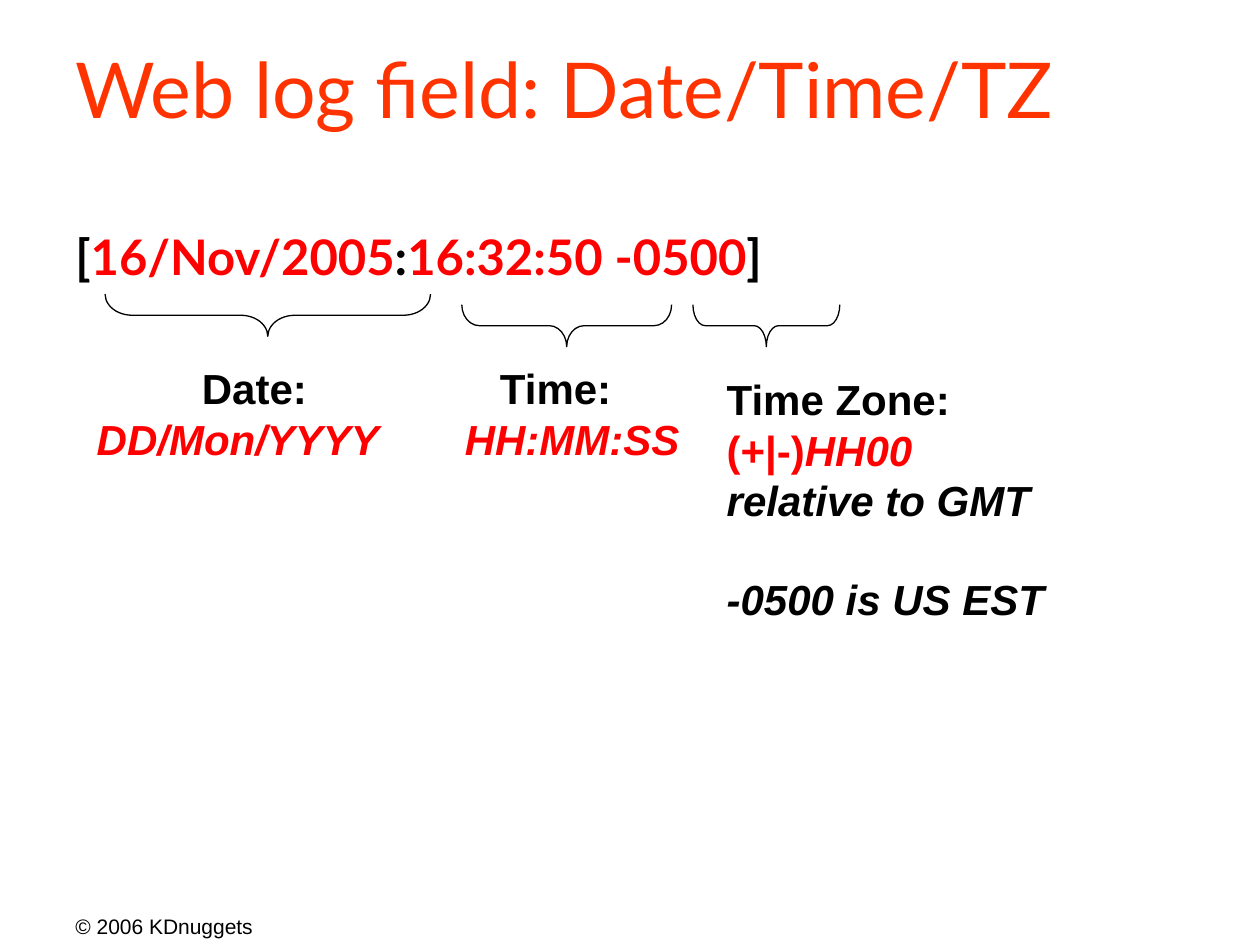
import pptx
import pptx.dml.color
import pptx.enum.shapes
import pptx.enum.text
import pptx.util

Cm = pptx.util.Cm
Pt = pptx.util.Pt

COLORS = {"title": "FF3300", "text": "000000", "field": "FF0000"}


class LogFieldSlide:
    """Holds the style and the current slide."""

    heading_font = "Lato"
    body_font = "Arial"
    brace_depth = 0.85

    def __init__(self, deck):
        self.slide = deck.slides.add_slide(deck.slide_layouts[6])

    def color(self, name):
        return pptx.dml.color.RGBColor.from_string(COLORS[name])

    def text(self, left, top, width, height, lines, size, font=body_font, bold=False):
        """Each line is a list of (words, colour, italic) runs."""
        frame = self.slide.shapes.add_textbox(
            Cm(left), Cm(top), Cm(width), Cm(height)).text_frame
        frame.word_wrap = True
        for number, pieces in enumerate(lines):
            line = frame.add_paragraph() if number else frame.paragraphs[0]
            line.font.name = font
            line.font.size = Pt(size)
            line.font.bold = bold
            for words, color, italic in pieces:
                piece = line.add_run()
                piece.text = words
                piece.font.color.rgb = self.color(color)
                piece.font.italic = italic
        return frame

    def label(self, left, top, width, height, lines, indent=0):
        frame = self.text(left, top, width, height, lines, 24, bold=True)
        if indent:
            frame.paragraphs[0]._p.get_or_add_pPr().set("marL", str(Cm(indent)))
        return frame

    def brace(self, left, top, length):
        """A brace that opens upwards: a left brace turned about its centre."""
        depth = self.brace_depth
        shift = (length - depth) / 2
        brace = self.slide.shapes.add_shape(
            pptx.enum.shapes.MSO_SHAPE.LEFT_BRACE,
            Cm(left + shift), Cm(top - shift), Cm(depth), Cm(length))
        brace.rotation = 270
        brace.adjustments[0] = length / 12 / depth
        brace.shadow.inherit = False
        brace.fill.background()
        brace.line.color.rgb = self.color("text")
        brace.line.width = Pt(0.75)


def main():
    deck = pptx.Presentation()
    deck.slide_width, deck.slide_height = Cm(25.4), Cm(19.05)
    page = LogFieldSlide(deck)

    # Footer
    page.text(1.27, 18.29, 4.3, 0.76, [[("© 2006 KDnuggets", "text", False)]], 12)

    # Title
    title = page.text(1.27, 0.64, 23.06, 2.54,
                      [[("Web log field: Date/Time/TZ", "title", False)]],
                      44, page.heading_font)
    title.vertical_anchor = pptx.enum.text.MSO_ANCHOR.MIDDLE
    title.paragraphs[0].line_spacing = 0.85

    # Log entry
    page.text(1.27, 4.45, 23.06, 1.78, [[
        ("[", "text", False),
        ("16/Nov/2005", "field", False),
        (":", "text", False),
        ("16:32:50 -0500", "field", False),
        ("]", "text", False),
    ]], 28, page.heading_font, bold=True)

    # Braces under the date, the time and the time zone
    for left, top, length in [(2.12, 5.93, 6.56), (9.31, 6.14, 4.23), (13.97, 6.14, 2.96)]:
        page.brace(left, top, length)

    # Date and time labels
    for left, width, name, pattern, indent in [
            (1.7, 6.4, "Date:", "DD/Mon/YYYY", 2.12),
            (9.12, 5, "Time:", "HH:MM:SS", 0.71)]:
        page.label(left, 7.19, width, 2.29,
                   [[(name, "text", False)], [(pattern, "field", True)]], indent)

    # Time zone label
    zone = page.label(14.4, 7.41, 7.1, 5.33, [
        [("Time Zone:", "text", False)],
        [("(+|-)", "field", False), ("HH00", "field", True)],
        [("relative to GMT", "text", True)],
        [("-0500 is US EST", "text", True)],
    ])
    zone.paragraphs[-1].space_before = Pt(27.6)

    deck.save("out.pptx")


if __name__ == "__main__":
    main()
